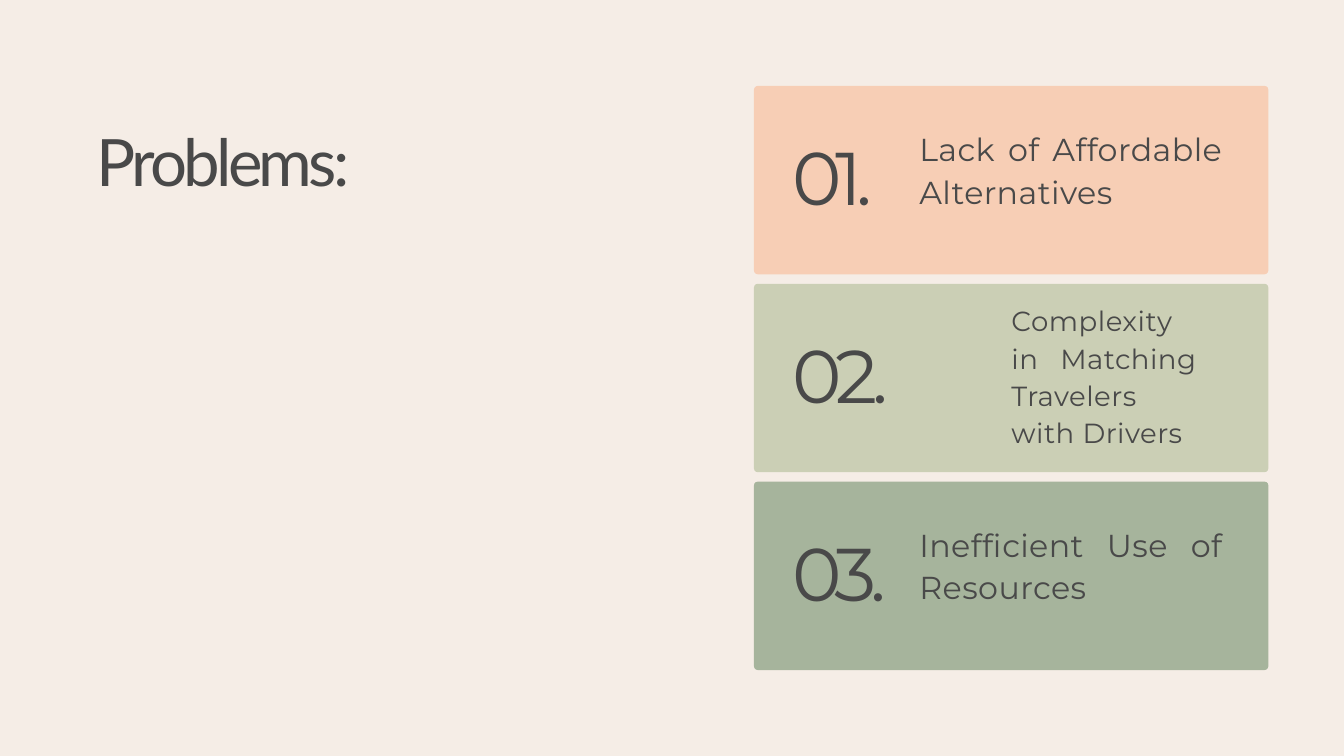
from pptx import Presentation
from pptx.dml.color import RGBColor
from pptx.enum.shapes import MSO_SHAPE as Shape
from pptx.enum.text import PP_ALIGN as Align
from pptx.util import Cm, Pt

COLORS = {
    "background": "F5EDE6",
    "text": "494949",
    "peach": "F7CEB5",
    "lime": "CBCFB5",
    "sage": "A6B49C",
}


def rgb(name):
    return RGBColor.from_string(COLORS[name])


def add_text(text, left, top, width, height, *, size, line, spacing,
             font="Montserrat", align=Align.LEFT):
    """Add a text box: lengths in cm; size, line height and letter spacing in points."""
    box = slide.shapes.add_textbox(Cm(left), Cm(top), Cm(width), Cm(height))
    frame = box.text_frame
    frame.word_wrap = True
    frame.margin_left = frame.margin_right = 0
    frame.margin_top = frame.margin_bottom = 0
    paragraph = frame.paragraphs[0]
    paragraph.alignment = align
    paragraph.line_spacing = Pt(line)
    run = paragraph.add_run()
    run.text = text
    run.font.name = font
    run.font.size = Pt(size)
    run.font.color.rgb = rgb("text")
    run._r.get_or_add_rPr().set("spc", str(round(spacing * 100)))


presentation = Presentation()
presentation.slide_width = Cm(50.8)
presentation.slide_height = Cm(28.58)
slide = presentation.slides.add_slide(presentation.slide_layouts[6])
slide.background.fill.solid()
slide.background.fill.fore_color.rgb = rgb("background")

add_text("Problems:", 3.66, 4.37, 21.41, 3.3,
         size=70, line=90.3, spacing=-4, font="Lato")

CARD_LEFT, CARD_TOP, CARD_WIDTH, CARD_HEIGHT = 28.5, 3.25, 19.44, 7.12
CARD_STEP = 7.48
CORNER_RADIUS = 0.14

# Label boxes: left, offset from the card top, width, height, size, line height
WIDE = (34.75, 1.47, 11.48, 3.18, 34, 45.9)
NARROW = (38.23, 0.61, 7.01, 5.56, 29.6, 40)

problems = [
    ("Lack of Affordable Alternatives", "peach", WIDE),
    ("Complexity in Matching Travelers with Drivers", "lime", NARROW),
    ("Inefficient Use of Resources", "sage", WIDE),
]

for index, (label, color, layout) in enumerate(problems):
    top = CARD_TOP + index * CARD_STEP
    card = slide.shapes.add_shape(Shape.ROUNDED_RECTANGLE, Cm(CARD_LEFT), Cm(top),
                                  Cm(CARD_WIDTH), Cm(CARD_HEIGHT))
    card.adjustments[0] = CORNER_RADIUS / CARD_HEIGHT
    card.shadow.inherit = False
    card.fill.solid()
    card.fill.fore_color.rgb = rgb(color)
    card.line.fill.background()

    add_text(f"{index + 1:02}.", 29.95, top + 2.39, 4.39, 2.84,
             size=80, line=76.8, spacing=-6.6)
    left, offset, width, height, size, line = layout
    add_text(label, left, top + offset, width, height,
             size=size, line=line, spacing=0.5, align=Align.JUSTIFY)

presentation.save("out.pptx")
